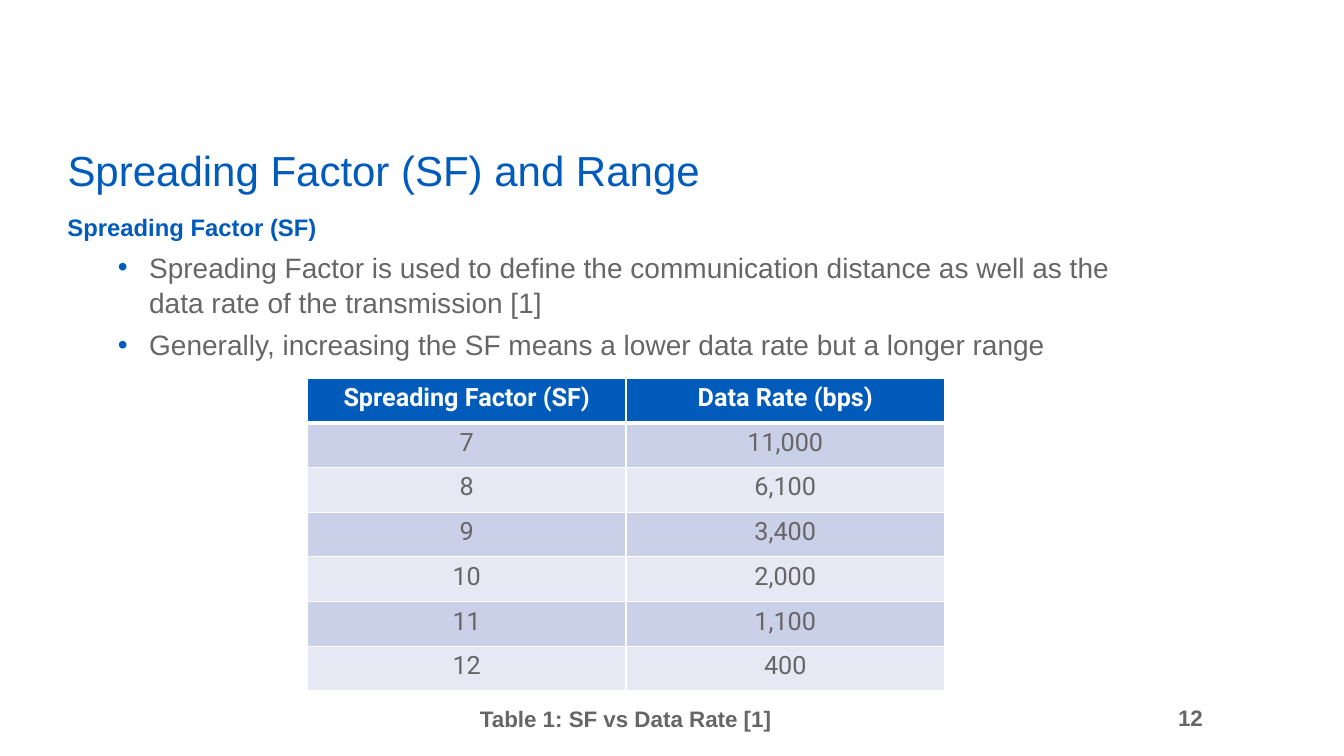
from dataclasses import dataclass

from lxml import etree
from pptx import Presentation
from pptx import util as u
from pptx.dml import color
from pptx.enum import text
from pptx.oxml import ns


@dataclass(frozen=True)
class Theme:
    blue: str = "005BBB"
    grey: str = "666666"
    white: str = "FFFFFF"
    bands: tuple = ("CAD0E7", "E6E9F3")
    body_font: str = "Arial"
    table_font: str = "Roboto"
    title: int = 30
    heading: int = 17
    bullet: int = 20
    cell: int = 18
    small: int = 16


class SlideBuilder:
    def __init__(self, deck, theme):
        self.deck = deck
        self.theme = theme
        self.slide = deck.slides.add_slide(deck.slide_layouts[6])

    def place(self, left, top, width, height):
        full_width, full_height = self.deck.slide_width, self.deck.slide_height
        return (int(full_width * left / 100), int(full_height * top / 100),
                int(full_width * width / 100), int(full_height * height / 100))

    def add_words(self, paragraph, words, size, shade, bold=False, font=None):
        run = paragraph.add_run()
        run.text = words
        run.font.name = font or self.theme.body_font
        run.font.size = u.Pt(size)
        run.font.bold = bold
        run.font.color.rgb = color.RGBColor.from_string(shade)

    def frame(self, area, inset=0.05, wrap=True, anchor=text.MSO_ANCHOR.TOP):
        frame = self.slide.shapes.add_textbox(*self.place(*area)).text_frame
        frame.word_wrap = wrap
        frame.vertical_anchor = anchor
        frame.margin_left = frame.margin_right = u.Inches(inset)
        frame.margin_top = frame.margin_bottom = u.Inches(inset)
        return frame

    def title(self, words, area):
        line = self.frame(area).paragraphs[0]
        line.line_spacing = 0.9
        self.add_words(line, words, self.theme.title, self.theme.blue)

    def label(self, words, area, align=text.PP_ALIGN.LEFT, **options):
        line = self.frame(area, wrap=False, **options).paragraphs[0]
        line.alignment = align
        self.add_words(line, words, self.theme.small, self.theme.grey, bold=True)

    def body(self, heading, points, area):
        frame = self.frame(area)
        lead = frame.paragraphs[0]
        lead.line_spacing = 1.05
        self.add_words(lead, heading, self.theme.heading, self.theme.blue, bold=True)
        for point in points:
            line = frame.add_paragraph()
            line.level = 1
            line.line_spacing = 1.05
            line.space_before = u.Pt(5)
            self.bullet(line)
            self.add_words(line, point, self.theme.bullet, self.theme.grey)

    def bullet(self, paragraph):
        props = paragraph._p.get_or_add_pPr()
        props.set("marL", str(u.Inches(0.81)))
        props.set("indent", str(u.Inches(-0.31)))
        tint = etree.SubElement(props, ns.qn("a:buClr"))
        etree.SubElement(tint, ns.qn("a:srgbClr"), val=self.theme.blue)
        etree.SubElement(props, ns.qn("a:buFont"), typeface=self.theme.body_font)
        etree.SubElement(props, ns.qn("a:buChar"), char="•")

    def borders(self, cell, top, bottom):
        props = cell._tc.get_or_add_tcPr()
        for side, weight in zip("LRTB", (1, 1, top, bottom)):
            edge = etree.SubElement(props, ns.qn(f"a:ln{side}"), w=str(u.Pt(weight)))
            fill = etree.SubElement(edge, ns.qn("a:solidFill"))
            etree.SubElement(fill, ns.qn("a:srgbClr"), val=self.theme.white)

    def table(self, records, area):
        theme = self.theme
        grid = self.slide.shapes.add_table(
            len(records), len(records[0]), *self.place(*area)).table
        for row, record in enumerate(records):
            header = row == 0
            band = theme.blue if header else theme.bands[(row - 1) % 2]
            shade = theme.white if header else theme.grey
            for column, words in enumerate(record):
                cell = grid.cell(row, column)
                cell.margin_left = cell.margin_right = u.Inches(0.05)
                cell.margin_top = cell.margin_bottom = u.Inches(0.05)
                self.borders(cell, 3 if row == 1 else 1, 3 if header else 1)
                cell.fill.solid()
                cell.fill.fore_color.rgb = color.RGBColor.from_string(band)
                line = cell.text_frame.paragraphs[0]
                line.alignment = text.PP_ALIGN.CENTER
                self.add_words(line, words, theme.cell, shade, header, theme.table_font)


def main():
    deck = Presentation()
    deck.slide_width, deck.slide_height = u.Inches(13.33), u.Inches(7.5)
    page = SlideBuilder(deck, Theme())

    page.title("Spreading Factor (SF) and Range", (4.65, 19.2, 86.27, 8.13))
    page.body(
        "Spreading Factor (SF)",
        ["Spreading Factor is used to define the communication distance "
         "as well as the data rate of the transmission [1]",
         "Generally, increasing the SF means a lower data rate but a longer range"],
        (4.65, 27.33, 79.45, 22.53))
    page.table(
        [("Spreading Factor (SF)", "Data Rate (bps)"),
         ("7", "11,000"),
         ("8", "6,100"),
         ("9", "3,400"),
         ("10", "2,000"),
         ("11", "1,100"),
         ("12", "400")],
        (22.88, 50, 47.4, 41.44))
    page.label("Table 1: SF vs Data Rate [1]", (35.33, 92.67, 22.58, 4.53))
    page.label("12", (87.1, 92.4, 2.93, 5.07), text.PP_ALIGN.RIGHT,
               inset=0.07, anchor=text.MSO_ANCHOR.MIDDLE)

    deck.save("out.pptx")


if __name__ == "__main__":
    main()
